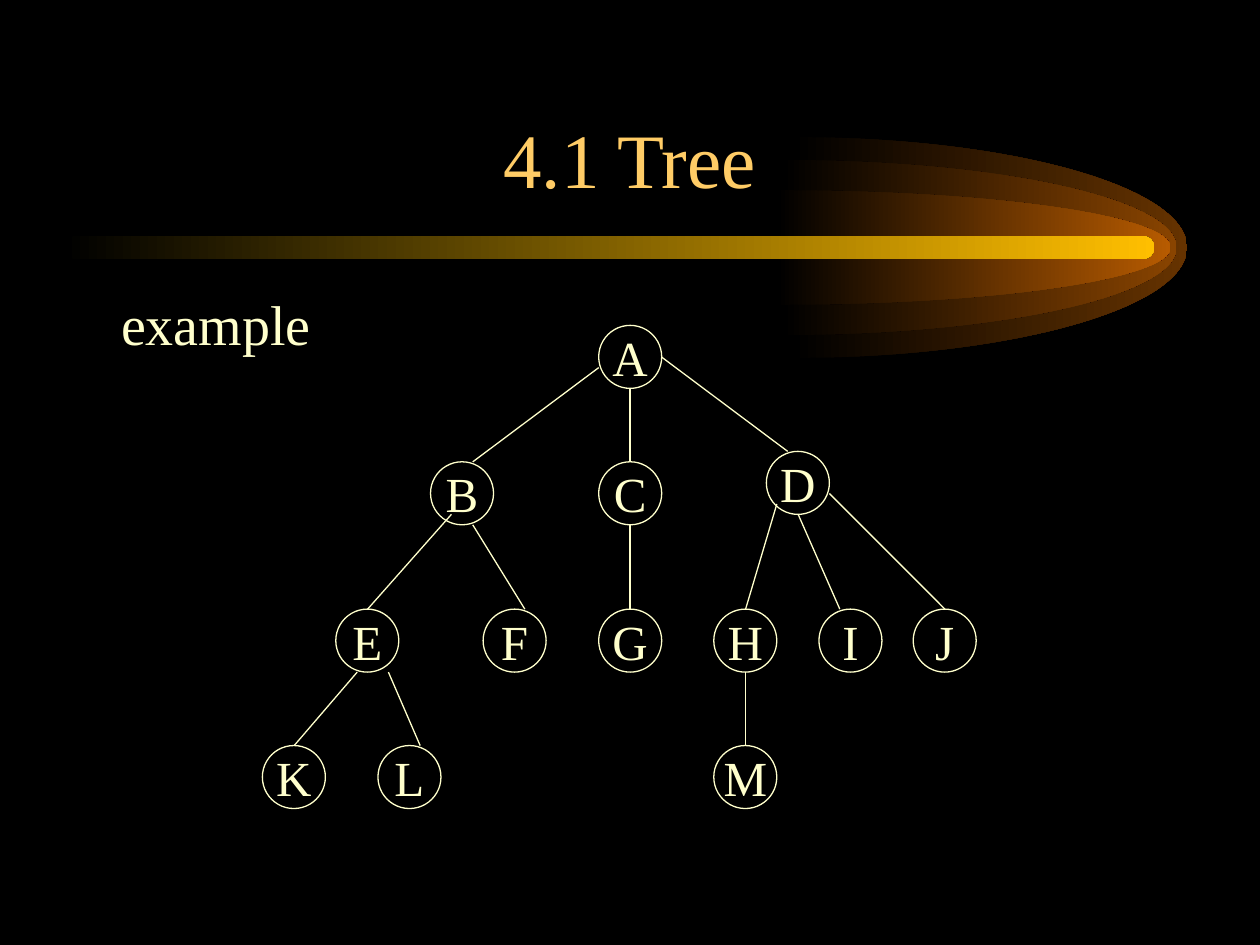
from lxml import etree
from pptx import Presentation
from pptx.dml.color import RGBColor
from pptx.enum.shapes import MSO_CONNECTOR, MSO_SHAPE
from pptx.enum.text import MSO_ANCHOR, MSO_AUTO_SIZE, PP_ALIGN
from pptx.oxml.ns import qn
from pptx.util import Cm, Pt

ELLIPSE, ROUNDED = MSO_SHAPE.OVAL, MSO_SHAPE.ROUNDED_RECTANGLE
STRAIGHT = MSO_CONNECTOR.STRAIGHT
TOP, MIDDLE, BOTTOM = MSO_ANCHOR.TOP, MSO_ANCHOR.MIDDLE, MSO_ANCHOR.BOTTOM
LEFT, CENTER = PP_ALIGN.LEFT, PP_ALIGN.CENTER
NO_AUTOFIT = MSO_AUTO_SIZE.NONE

FONT = "Times New Roman"
BLACK, CREAM, GOLD = "000000", "FFFFCC", "FFCC66"
GRID = 2.54 / 12  # the tree sits on a grid of twelfths of an inch
NODE_SIZE = 6
BEND = 0.55  # control point distance of a curve close to a quarter ellipse

# Node: column and row of its top left corner, in grid steps
NODES = {
    "A": (32, 0),
    "B": (16, 13), "C": (32, 13), "D": (48, 12),
    "E": (7, 27), "F": (21, 27), "G": (32, 27),
    "H": (43, 27), "I": (53, 27), "J": (62, 27),
    "K": (0, 40), "L": (11, 40), "M": (43, 40),
}
# Parent, child, start within the parent, end within the child
EDGES = [
    ("A", "B", (0, 4), (4, 0)), ("A", "C", (3, 6), (3, 0)),
    ("A", "D", (6, 3), (2, 0)), ("B", "E", (2, 5), (3, 0)),
    ("B", "F", (4, 6), (4, 0)), ("C", "G", (3, 6), (3, 0)),
    ("D", "H", (1, 5), (3, 0)), ("D", "I", (3, 6), (2, 0)),
    ("D", "J", (6, 4), (3, 0)), ("E", "K", (2, 6), (3, 0)),
    ("E", "L", (5, 6), (4, 0)), ("H", "M", (3, 6), (3, 0)),
]
# Comet glow: distance from the tail's left end and height in cm, head colour
GLOWS = [(14.71, 4.45, "663300"), (14.5, 3.53, "894400"), (14.38, 2.31, "B75B00")]


def rgb(value):
    return RGBColor.from_string(value)


def set_values(target, values):
    for name, value in values.items():
        setattr(target, name, value)


def fade_in(shape, colour):
    """Fill from black at the left to the colour at the right."""
    shape.shadow.inherit = False
    shape.line.fill.background()
    shape.fill.gradient()
    shape.fill.gradient_angle = 0
    for stop, value in zip(shape.fill.gradient_stops, (BLACK, colour)):
        stop.color.rgb = rgb(value)


def write(shape, text, size, colour, align, anchor, wrap=True):
    frame = shape.text_frame
    frame.text = text
    set_values(frame, {
        "auto_size": NO_AUTOFIT, "word_wrap": wrap, "vertical_anchor": anchor,
        "margin_left": Cm(0.25), "margin_right": Cm(0.25),
        "margin_top": Cm(0.13), "margin_bottom": Cm(0.13),
    })
    para = frame.paragraphs[0]
    set_values(para, {"alignment": align, "space_before": Pt(0)})
    span = para.runs[0]
    set_values(span.font, {"name": FONT, "size": Pt(size)})
    span.font.color.rgb = rgb(colour)
    span._r.get_or_add_rPr().set("kern", "0")
    return para


def add_half_ellipse(page, left, middle, width, height):
    """Draw the right half of an ellipse as two curves."""
    # Each quarter: two control points and an end point
    outline = [(BEND, -1), (1, -BEND), (1, 0), (1, BEND), (BEND, 1), (0, 1)]
    points = [(Cm(left + width * across), Cm(middle + height / 2 * down))
              for across, down in [(0, -1)] + outline]
    builder = page.shapes.build_freeform(*points[0])
    builder.add_line_segments(points[1:], close=True)
    shape = builder.convert_to_shape()
    # Turn each three line segments into one curve
    segments = list(shape._element.iter(qn("a:lnTo")))[:len(outline)]
    for start in range(0, len(segments), 3):
        curve = etree.Element(qn("a:cubicBezTo"))
        segments[start].addprevious(curve)
        for segment in segments[start:start + 3]:
            curve.append(segment[0])
            segment.getparent().remove(segment)
    return shape


def add_comet(page, left, middle):
    # Glows, from the widest to the narrowest
    for offset, glow_height, colour in GLOWS:
        glow = add_half_ellipse(page, left + offset, middle, 7.95, glow_height)
        fade_in(glow, colour)
    # Tail
    width, height = 22, 0.46
    tail = page.shapes.add_shape(ROUNDED, Cm(left), Cm(middle - height / 2),
                                 Cm(width), Cm(height))
    tail.adjustments[0] = 0.5
    fade_in(tail, "FFBF00")


def fill_placeholder(page, holder, box, *text_format):
    names = ("left", "top", "width", "height")
    set_values(holder, dict(zip(names, map(Cm, box))))
    page.shapes._spTree.append(holder._element)  # bring in front of the comet
    return write(holder, *text_format)


def add_text(page, title, body):
    fill_placeholder(page, title, (1.9, 1.07, 21.59, 3.18),
                     "4.1 Tree", 44, GOLD, CENTER, BOTTOM)
    para = fill_placeholder(page, body, (1.9, 5.71, 21.59, 11.43),
                            "example", 32, CREAM, LEFT, TOP)
    # Plain indented line without a bullet
    properties = para._p.get_or_add_pPr()
    properties.set("marL", str(Cm(0.29)))
    properties.set("indent", "0")
    etree.SubElement(properties, qn("a:buNone"))


def add_tree(page, left, top):
    def place(column, row):
        return (Cm(round(left + column * GRID, 2)),
                Cm(round(top + row * GRID, 2)))

    def corner(name, offset):
        return place(*(start + step for start, step in zip(NODES[name], offset)))

    def outline(shape):
        shape.line.color.rgb = rgb(CREAM)
        shape.line.width = Pt(0.75)

    # Nodes
    size = Cm(NODE_SIZE * GRID)
    for name, position in NODES.items():
        node = page.shapes.add_shape(ELLIPSE, *place(*position), size, size)
        node.shadow.inherit = False
        node.fill.background()
        outline(node)
        write(node, name, 28, CREAM, CENTER, MIDDLE, wrap=False)
    # Edges
    for parent, child, start, end in EDGES:
        edge = page.shapes.add_connector(STRAIGHT, *corner(parent, start),
                                         *corner(child, end))
        outline(edge)
        etree.SubElement(edge._element.spPr, qn("a:effectLst"))


def main():
    deck = Presentation()
    deck.slide_width, deck.slide_height = Cm(25.4), Cm(19.05)
    page = deck.slides.add_slide(deck.slide_layouts[1])
    page.background.fill.solid()
    page.background.fill.fore_color.rgb = rgb(BLACK)
    title, body = page.placeholders
    add_comet(page, 1.27, 4.99)
    add_text(page, title, body)
    add_tree(page, 25 * GRID, 31 * GRID)
    deck.save("out.pptx")


if __name__ == "__main__":
    main()
